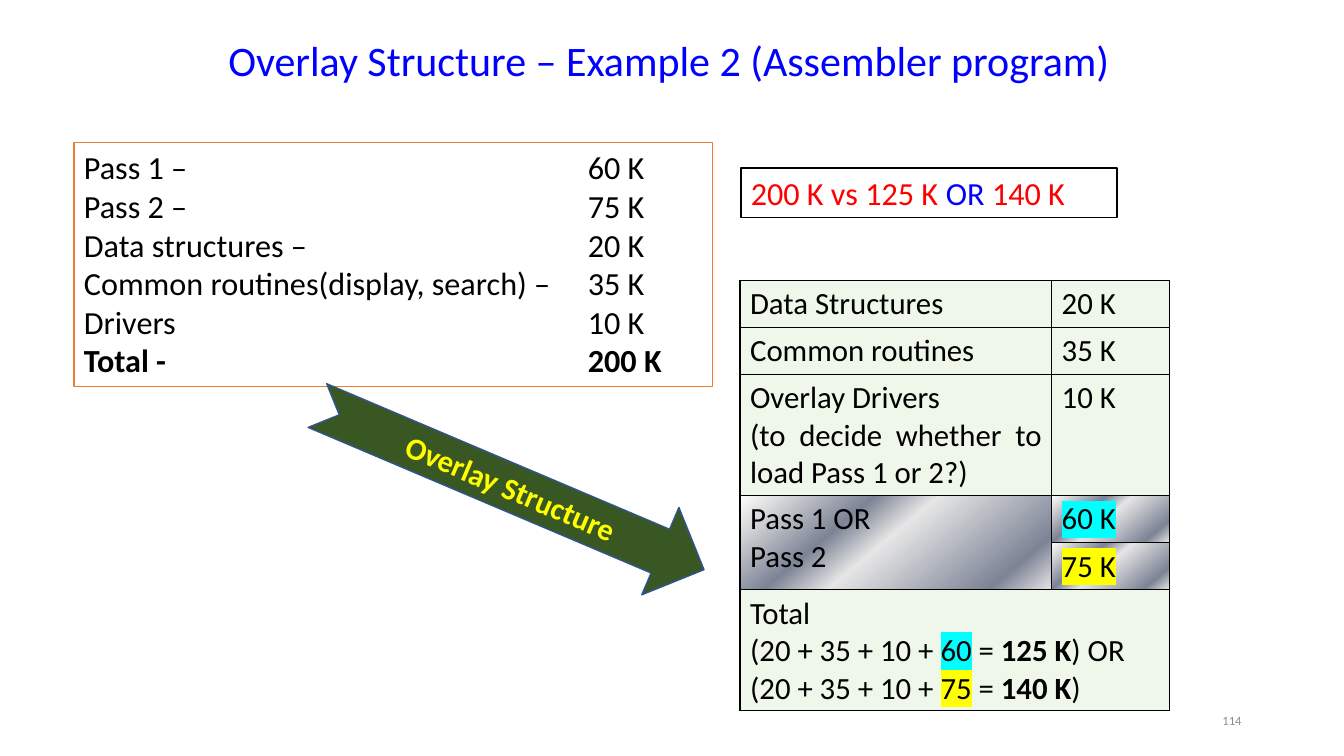
from dataclasses import dataclass

from lxml import etree
from pptx import Presentation, util as u
from pptx.dml.color import RGBColor
from pptx.enum import shapes, text
from pptx.oxml import parse_xml
from pptx.oxml.ns import nsdecls, qn


@dataclass(frozen=True)
class Theme:
    font: str = "Calibri"
    title_size: int = 30
    box_size: int = 23
    table_size: int = 22
    number_size: int = 9
    black: str = "000000"
    white: str = "FFFFFF"
    blue: str = "0000FF"
    red: str = "FF0000"
    yellow: str = "FFFF00"
    cyan: str = "00FFFF"
    gray: str = "8C8C8C"
    orange: str = "ED7D31"
    arrow: str = "385723"
    arrow_line: str = "325491"
    pale_green: str = "C5E0B4"
    green_alpha: int = 27
    metal: tuple = ((0, "FFFFFF"), (7, "E6E6E6"), (32, "7D8496"),
                    (47, "E6E6E6"), (85, "7D8496"), (100, "E6E6E6"))
    metal_angle: int = 50


THEME = Theme()

# The slide is a grid of 160 columns by 90 rows of square cells
COLUMNS, ROWS = 160, 90
CELL = u.Inches(7.5) / ROWS


def grid(*cells):
    return [u.Emu(round(cell * CELL)) for cell in cells]


# Text helpers
def add_run(paragraph, words, size, color=THEME.black, bold=False, highlight=None):
    run = paragraph.add_run()
    run.text = words
    run.font.name = THEME.font
    run.font.size = u.Pt(size)
    run.font.bold = bold
    run.font.color.rgb = RGBColor.from_string(color)
    if highlight:
        mark = parse_xml(f'<a:highlight {nsdecls("a")}><a:srgbClr val="{highlight}"/></a:highlight>')
        run.font._element.find(qn("a:solidFill")).addnext(mark)


def next_paragraph(frame, index):
    return frame.paragraphs[0] if index == 0 else frame.add_paragraph()


def add_label(slide, box, words, size, color, align):
    frame = slide.shapes.add_textbox(*grid(*box)).text_frame
    frame.word_wrap = True
    frame.vertical_anchor = text.MSO_ANCHOR.MIDDLE
    paragraph = frame.paragraphs[0]
    paragraph.alignment = align
    add_run(paragraph, words, size, color)
    return paragraph


def add_panel(slide, box, kind, fill, line):
    shape = slide.shapes.add_shape(kind, *grid(*box))
    shape.shadow.inherit = False
    shape.fill.solid()
    shape.fill.fore_color.rgb = RGBColor.from_string(fill)
    shape.line.color.rgb = RGBColor.from_string(line)
    shape.line.width = u.Pt(1)
    shape.text_frame.word_wrap = True
    shape.text_frame.vertical_anchor = text.MSO_ANCHOR.TOP
    return shape


# Regions
def add_title(slide, box):
    paragraph = add_label(slide, box, "Overlay Structure – Example 2 (Assembler program)",
                          THEME.title_size, THEME.blue, text.PP_ALIGN.LEFT)
    paragraph.line_spacing = 0.9


def add_comparison(slide, box):
    panel = add_panel(slide, box, shapes.MSO_SHAPE.RECTANGLE, THEME.white, THEME.black)
    paragraph = panel.text_frame.paragraphs[0]
    paragraph.alignment = text.PP_ALIGN.LEFT
    for words, color in (("200 K vs 125 K ", THEME.red), ("OR", THEME.blue), (" 140 K", THEME.red)):
        add_run(paragraph, words, THEME.box_size, color)


def add_memory_list(slide, box):
    entries = (("Pass 1 – ", "60 K"), ("Pass 2 – ", "75 K"), ("Data structures – ", "20 K"),
               ("Common routines(display, search) – ", "35 K"), ("Drivers", "10 K"),
               ("Total - ", "200 K"))
    panel = add_panel(slide, box, shapes.MSO_SHAPE.RECTANGLE, THEME.white, THEME.orange)
    for index, (part, amount) in enumerate(entries):
        paragraph = next_paragraph(panel.text_frame, index)
        paragraph.alignment = text.PP_ALIGN.LEFT
        tabs = etree.SubElement(paragraph._p.get_or_add_pPr(), qn("a:tabLst"))
        etree.SubElement(tabs, qn("a:tab"), pos=str(u.Inches(5)), algn="l")
        add_run(paragraph, f"{part}\t{amount}", THEME.box_size, bold=part.startswith("Total"))


def add_overlay_arrow(slide, box):
    arrow = add_panel(slide, box, shapes.MSO_SHAPE.NOTCHED_RIGHT_ARROW,
                      THEME.arrow, THEME.arrow_line)
    arrow.rotation = 23
    arrow.text_frame.vertical_anchor = text.MSO_ANCHOR.MIDDLE
    paragraph = arrow.text_frame.paragraphs[0]
    paragraph.alignment = text.PP_ALIGN.CENTER
    add_run(paragraph, "Overlay Structure", THEME.table_size, THEME.yellow, bold=True)


def style_cell(cell, metallic):
    properties = cell._tc.get_or_add_tcPr()
    for side in ("lnL", "lnR", "lnT", "lnB"):
        properties.append(parse_xml(
            f'<a:{side} {nsdecls("a")} w="{u.Pt(1)}"><a:solidFill>'
            f'<a:srgbClr val="{THEME.black}"/></a:solidFill></a:{side}>'))
    if metallic:
        stops = "".join(f'<a:gs pos="{share * 1000}"><a:srgbClr val="{color}"/></a:gs>'
                        for share, color in THEME.metal)
        fill = (f'<a:gradFill {nsdecls("a")}><a:gsLst>{stops}</a:gsLst>'
                f'<a:lin ang="{THEME.metal_angle * 60000}" scaled="0"/></a:gradFill>')
    else:
        fill = (f'<a:solidFill {nsdecls("a")}><a:srgbClr val="{THEME.pale_green}">'
                f'<a:alpha val="{THEME.green_alpha * 1000}"/></a:srgbClr></a:solidFill>')
    properties.append(parse_xml(fill))


def total_line(amount, color, total, ending):
    return [("(20 + 35 + 10 + ", {}), (amount, {"highlight": color}), (" = ", {}),
            (total, {"bold": True}), (ending, {})]


def add_overlay_table(slide, box):
    # Each cell is a list of paragraphs, each paragraph a list of runs
    contents = {
        (0, 0): [[("Data Structures", {})]],
        (0, 1): [[("20 K", {})]],
        (1, 0): [[("Common routines", {})]],
        (1, 1): [[("35 K", {})]],
        (2, 0): [[("Overlay Drivers", {})], [("(to decide whether to load Pass 1 or 2?)", {})]],
        (2, 1): [[("10 K", {})]],
        (3, 0): [[("Pass 1 OR", {})], [("Pass 2", {})]],
        (3, 1): [[("60 K", {"highlight": THEME.cyan})]],
        (4, 1): [[("75 K", {"highlight": THEME.yellow})]],
        (5, 0): [[("Total", {})], total_line("60", THEME.cyan, "125 K", ") OR"),
                 total_line("75", THEME.yellow, "140 K", ")")],
    }
    row_lines = (1, 1, 3, 1, 1, 3)
    table = slide.shapes.add_table(len(row_lines), 2, *grid(*box)).table
    table.first_row = table.horz_banding = False
    amount_width = 14
    for column, width in zip(table.columns, grid(box[2] - amount_width, amount_width)):
        column.width = width
    padding = 1.2
    line_height = (box[3] - padding * len(row_lines)) / sum(row_lines)
    for row, lines in zip(table.rows, row_lines):
        row.height = grid(lines * line_height + padding)[0]

    for row in range(len(row_lines)):
        for column in range(2):
            style_cell(table.cell(row, column), metallic=row in (3, 4))
    table.cell(3, 0).merge(table.cell(4, 0))
    table.cell(5, 0).merge(table.cell(5, 1))

    for position, paragraphs in contents.items():
        frame = table.cell(*position).text_frame
        for index, runs in enumerate(paragraphs):
            paragraph = next_paragraph(frame, index)
            for words, look in runs:
                add_run(paragraph, words, THEME.table_size, **look)
    table.cell(2, 0).text_frame.paragraphs[1].alignment = text.PP_ALIGN.JUSTIFY


def main():
    presentation = Presentation()
    presentation.slide_width, presentation.slide_height = grid(COLUMNS, ROWS)
    slide = presentation.slides.add_slide(presentation.slide_layouts[6])
    add_title(slide, (26, 0, 108, 15))
    add_label(slide, (113, 83.4, 36, 4.8), "114", THEME.number_size, THEME.gray,
              text.PP_ALIGN.RIGHT)
    add_comparison(slide, (88.2, 20, 44.8, 5.9))
    add_memory_list(slide, (8.8, 17, 76, 29))
    add_overlay_arrow(slide, (35.8, 52.4, 50, 11.3))
    add_overlay_table(slide, (88.1, 33.4, 51.1, 51.2))
    presentation.save("out.pptx")


if __name__ == "__main__":
    main()
